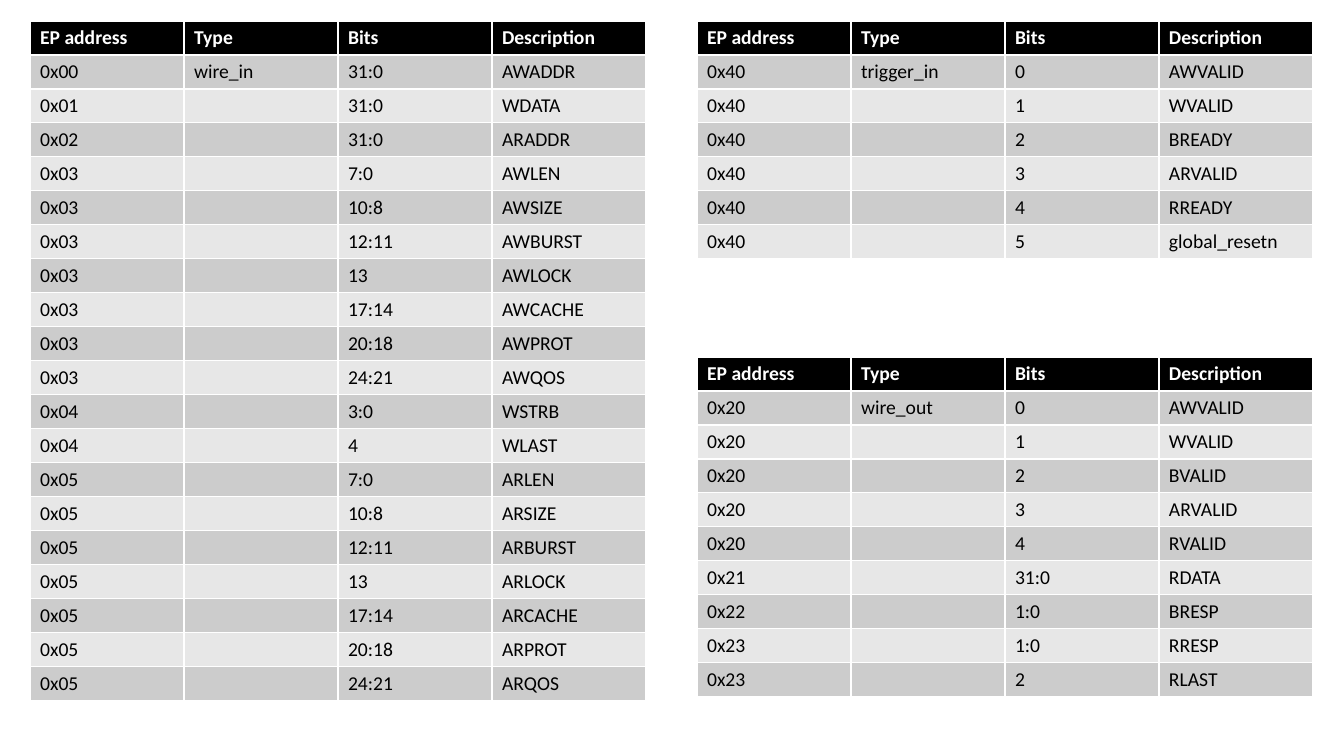
import pptx
import pptx.dml.color
import pptx.util
from lxml import etree
from pptx.oxml.ns import qn

COLORS = {"head": "000000", "odd": "CCCCCC", "even": "E7E7E7", "light": "FFFFFF", "dark": "000000"}
HEADINGS = ("EP address", "Type", "Bits", "Description")

WIRE_IN = [
    ("0x00", "31:0", "AWADDR"),
    ("0x01", "31:0", "WDATA"),
    ("0x02", "31:0", "ARADDR"),
    ("0x03", "7:0", "AWLEN"),
    ("0x03", "10:8", "AWSIZE"),
    ("0x03", "12:11", "AWBURST"),
    ("0x03", "13", "AWLOCK"),
    ("0x03", "17:14", "AWCACHE"),
    ("0x03", "20:18", "AWPROT"),
    ("0x03", "24:21", "AWQOS"),
    ("0x04", "3:0", "WSTRB"),
    ("0x04", "4", "WLAST"),
    ("0x05", "7:0", "ARLEN"),
    ("0x05", "10:8", "ARSIZE"),
    ("0x05", "12:11", "ARBURST"),
    ("0x05", "13", "ARLOCK"),
    ("0x05", "17:14", "ARCACHE"),
    ("0x05", "20:18", "ARPROT"),
    ("0x05", "24:21", "ARQOS"),
]
WIRE_OUT = [
    ("0x20", "0", "AWVALID"),
    ("0x20", "1", "WVALID"),
    ("0x20", "2", "BVALID"),
    ("0x20", "3", "ARVALID"),
    ("0x20", "4", "RVALID"),
    ("0x21", "31:0", "RDATA"),
    ("0x22", "1:0", "BRESP"),
    ("0x23", "1:0", "RRESP"),
    ("0x23", "2", "RLAST"),
]
TRIGGER_IN = [
    ("0x40", "0", "AWVALID"),
    ("0x40", "1", "WVALID"),
    ("0x40", "2", "BREADY"),
    ("0x40", "3", "ARVALID"),
    ("0x40", "4", "RREADY"),
    ("0x40", "5", "global_resetn"),
]


class SlideBuilder:
    """Draws endpoint tables in one style on the current slide."""

    font = "Calibri"
    size = 14
    column_width = 154
    row_height = 34

    def __init__(self, page):
        self.page = page

    @staticmethod
    def px(length):
        return pptx.util.Emu(round(length * 914400 / 100.8))

    @staticmethod
    def color(name):
        return pptx.dml.color.RGBColor.from_string(COLORS[name])

    def cell(self, cell, text, fill, ink, bold):
        cell.fill.solid()
        cell.fill.fore_color.rgb = self.color(fill)
        para = cell.text_frame.paragraphs[0]
        if not text:
            etree.SubElement(para._p, qn("a:endParaRPr"), sz=str(self.size * 100))
            return
        span = para.add_run()
        span.text = text
        span.font.name = self.font
        span.font.size = pptx.util.Pt(self.size)
        span.font.bold = bold
        span.font.color.rgb = self.color(ink)

    def endpoint_table(self, left, top, kind, signals):
        rows = [HEADINGS]
        for index, (address, bits, signal) in enumerate(signals):
            rows.append((address, "" if index else kind, bits, signal))
        width = self.column_width * len(HEADINGS)
        height = self.row_height * len(rows)
        frame = self.page.shapes.add_table(
            len(rows), len(HEADINGS), *map(self.px, (left, top, width, height)))
        table = frame.table
        for column in table.columns:
            column.width = self.px(self.column_width)
        for number, texts in enumerate(rows):
            table.rows[number].height = self.px(self.row_height)
            header = number == 0
            fill = "head" if header else "odd" if number % 2 else "even"
            ink = "light" if header else "dark"
            for cell, text in zip(table.rows[number].cells, texts):
                self.cell(cell, text, fill, ink, header)


def main():
    deck = pptx.Presentation()
    deck.slide_width = SlideBuilder.px(1344)
    deck.slide_height = SlideBuilder.px(756)
    page = deck.slides.add_slide(deck.slide_layouts[6])
    builder = SlideBuilder(page)
    builder.endpoint_table(30, 21, "wire_in", WIRE_IN)
    builder.endpoint_table(697, 357, "wire_out", WIRE_OUT)
    builder.endpoint_table(697, 21, "trigger_in", TRIGGER_IN)
    deck.save("out.pptx")


if __name__ == "__main__":
    main()
